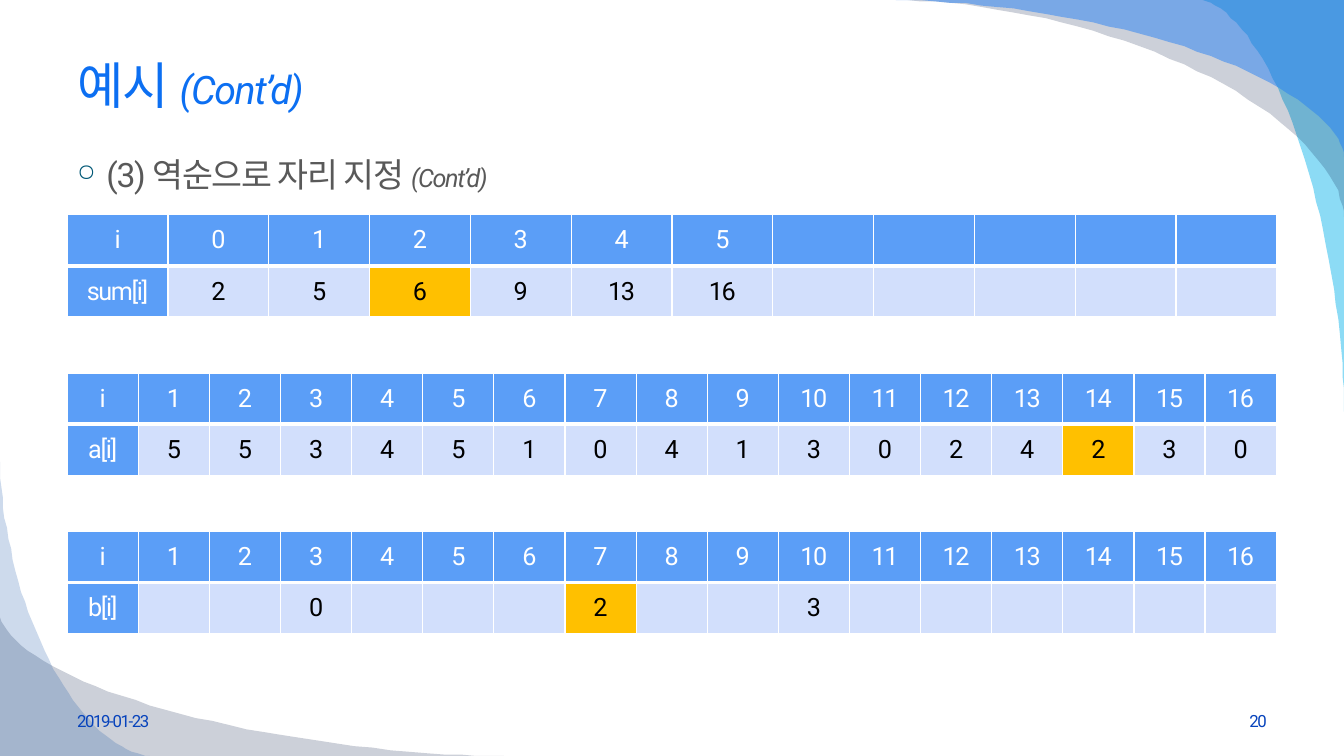
from math import cos, pi, sin

from lxml import etree
from pptx import Presentation, oxml
from pptx import util as u
from pptx.dml import color as colors
from pptx.enum import text as t

THEME = {
    "font": "Roboto",
    "title": "0C6FF2", "body": "595959", "bullet": "005876", "footer": "0743BC",
    "header": "5B9EF7", "cell": "D2DFFC", "highlight": "FFC000",
    "light": "FFFFFF", "dark": "000000",
    "cyan": "00B1E9", "navy": "021741", "azure": "247FF4", "blue": "084AA1",
    "title_size": 36, "title_note_size": 28, "body_size": 24,
    "body_note_size": 18, "table_size": 18, "footer_size": 12,
}
SIDE, CONTENT_WIDTH = 48, 864


def rgb(name):
    return colors.RGBColor.from_string(THEME[name])


def write(paragraph, text, size, color, italic=False, align=t.PP_ALIGN.LEFT):
    paragraph.alignment = align
    run = paragraph.add_run()
    run.text = text
    run.font.size = u.Pt(THEME[size])
    run.font.name = THEME["font"]
    run.font.italic = italic
    run.font.color.rgb = rgb(color)
    properties = run.font._element
    properties.set("spc", "-100")
    east_asian = etree.SubElement(properties, oxml.ns.qn("a:ea"))
    east_asian.set("typeface", THEME["font"])


presentation = Presentation()
presentation.slide_width, presentation.slide_height = u.Pt(960), u.Pt(540)
slide = presentation.slides.add_slide(presentation.slide_layouts[6])

# Corner swooshes: the area between a slide corner and a superellipse arc
STEPS, POWER = 40, 2 / 1.75
swooshes = [  # corner x, corner y, signed width, signed height, colour, opacity %
    (960, 0, -104, 294, "cyan", 45),
    (960, 0, -320, 155, "navy", 20),
    (960, 0, -320, 112, "azure", 49),
    (0, 540, 360, -102, "navy", 20),
    (0, 540, 107, -210, "blue", 20),
]
for corner_x, corner_y, width, height, color, opacity in swooshes:
    arc = []
    for step in range(STEPS + 1):
        angle = pi / 2 * step / STEPS
        arc.append((corner_x + width * (1 - sin(angle) ** POWER),
                    corner_y + height * (1 - abs(cos(angle)) ** POWER)))
    builder = slide.shapes.build_freeform(corner_x, corner_y, scale=u.Pt(1))
    builder.add_line_segments(arc, close=True)
    shape = builder.convert_to_shape()
    shape.shadow.inherit = False
    shape.line.fill.background()
    shape.fill.solid()
    shape.fill.fore_color.rgb = rgb(color)
    fill_color = shape._element.spPr.find(".//" + oxml.ns.qn("a:srgbClr"))
    alpha = etree.SubElement(fill_color, oxml.ns.qn("a:alpha"))
    alpha.set("val", str(opacity * 1000))

# Title, body line and footers
MIDDLE, TOP = t.MSO_ANCHOR.MIDDLE, t.MSO_ANCHOR.TOP
LEFT, RIGHT, CENTER = t.PP_ALIGN.LEFT, t.PP_ALIGN.RIGHT, t.PP_ALIGN.CENTER
text_boxes = [  # left, top, width, height, anchor, alignment, colour, bulleted, runs
    (SIDE, 24, CONTENT_WIDTH, 73, MIDDLE, LEFT, "title", False,
     [("예시 ", "title_size", False), ("(Cont’d)", "title_note_size", True)]),
    (SIDE, 106.5, CONTENT_WIDTH, 376, TOP, LEFT, "body", True,
     [("(3) 역순으로 자리 지정 ", "body_size", False),
      ("(Cont’d)", "body_note_size", True)]),
    (SIDE, 500.5, 224, 28.8, MIDDLE, LEFT, "footer", False,
     [("2019-01-23", "footer_size", False)]),
    (688, 500.5, 224, 28.8, MIDDLE, RIGHT, "footer", False,
     [("20", "footer_size", False)]),
]
for left, top, width, height, anchor, align, color, bulleted, runs in text_boxes:
    box = slide.shapes.add_textbox(u.Pt(left), u.Pt(top), u.Pt(width), u.Pt(height))
    frame = box.text_frame
    frame.word_wrap = True
    frame.vertical_anchor = anchor
    paragraph = frame.paragraphs[0]
    if bulleted:
        properties = paragraph._p.get_or_add_pPr()
        properties.set("marL", str(u.Pt(21)))
        properties.set("indent", str(u.Pt(-21)))
        bullet_color = etree.SubElement(properties, oxml.ns.qn("a:buClr"))
        etree.SubElement(bullet_color, oxml.ns.qn("a:srgbClr")).set("val", THEME["bullet"])
        etree.SubElement(properties, oxml.ns.qn("a:buSzPct")).set("val", "70000")
        etree.SubElement(properties, oxml.ns.qn("a:buChar")).set("char", "○")
    for text, size, italic in runs:
        write(paragraph, text, size, color, italic, align)

# Array tables: an index row above a value row
FIRST_TOP, TABLE_STEP, ROW_HEIGHT = 153.5, 113, 36.5
arrays = [  # label, indexes, values by index, highlighted index, value columns
    ("sum[i]", range(0, 6), dict(enumerate([2, 5, 6, 9, 13, 16])), 2, 11),
    ("a[i]", range(1, 17),
     dict(enumerate([5, 5, 3, 4, 5, 1, 0, 4, 1, 3, 0, 2, 4, 2, 3, 0], 1)), 14, 16),
    ("b[i]", range(1, 17), {3: 0, 7: 2, 10: 3}, 7, 16),
]
for number, (label, indexes, values, highlighted, value_columns) in enumerate(arrays):
    columns = value_columns + 1
    table = slide.shapes.add_table(
        2, columns, u.Pt(SIDE), u.Pt(FIRST_TOP + number * TABLE_STEP),
        u.Pt(CONTENT_WIDTH), u.Pt(2 * ROW_HEIGHT)).table
    table.first_row = table.horz_banding = False
    for column in table.columns:
        column.width = u.Pt(CONTENT_WIDTH / columns)
    padding = [""] * (value_columns - len(indexes))
    rows = [["i", *indexes, *padding],
            [label, *[values.get(index, "") for index in indexes], *padding]]
    for row, entries in enumerate(rows):
        for column, entry in enumerate(entries):
            cell = table.cell(row, column)
            cell.vertical_anchor = MIDDLE
            is_header = row == 0 or column == 0
            fill = "header" if is_header else "cell"
            if row == 1 and column == indexes.index(highlighted) + 1:
                fill = "highlight"
            divider = "a:lnB" if row == 0 else "a:lnT"
            for edge in ("a:lnL", "a:lnR", "a:lnT", "a:lnB"):
                border = etree.SubElement(cell._tc.get_or_add_tcPr(), oxml.ns.qn(edge))
                border.set("w", str(u.Pt(3 if edge == divider else 1)))
                border_fill = etree.SubElement(border, oxml.ns.qn("a:solidFill"))
                etree.SubElement(border_fill, oxml.ns.qn("a:srgbClr")).set("val", THEME["light"])
            cell.fill.solid()
            cell.fill.fore_color.rgb = rgb(fill)
            if entry != "":
                write(cell.text_frame.paragraphs[0], str(entry), "table_size",
                      "light" if is_header else "dark", align=CENTER)

presentation.save("out.pptx")
